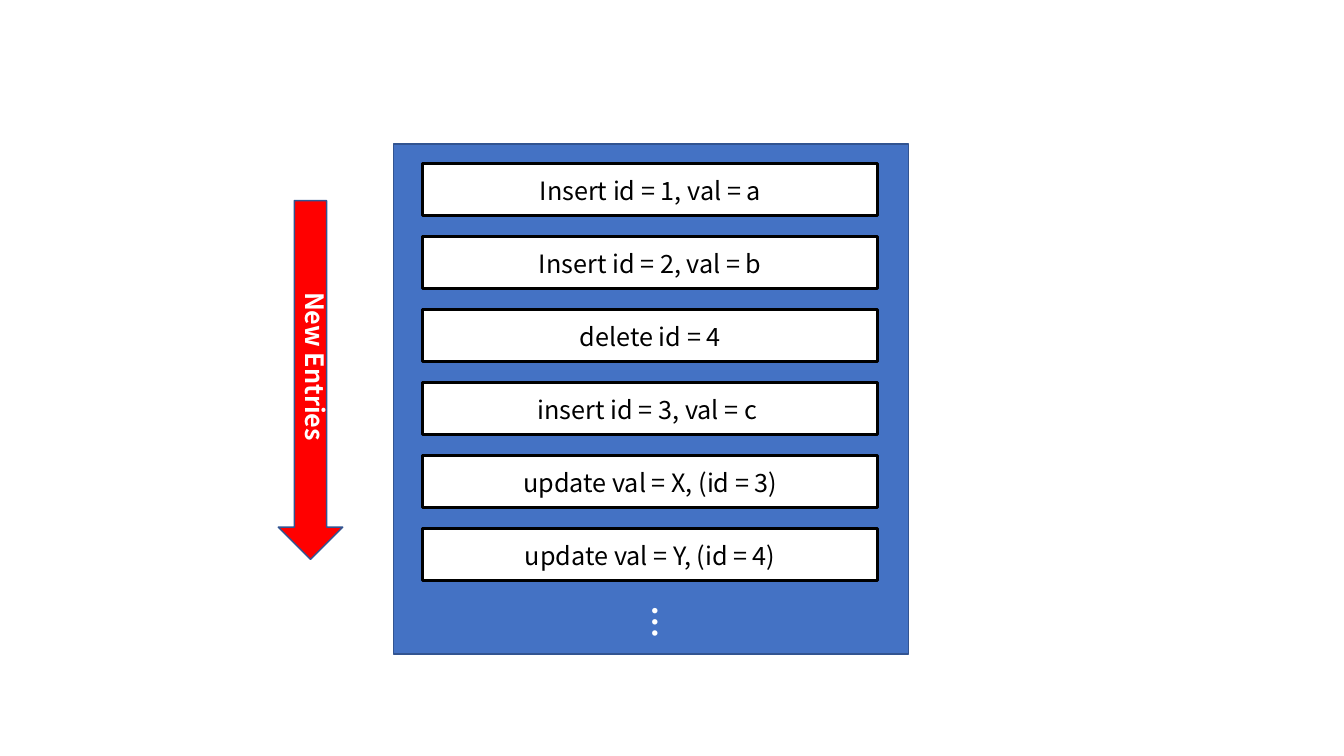
import pptx
import pptx.dml.color
import pptx.enum.shapes
import pptx.enum.text
import pptx.oxml.ns
import pptx.oxml.xmlchemy
import pptx.util

SHAPE = pptx.enum.shapes.MSO_SHAPE
ALIGN = pptx.enum.text.PP_ALIGN


def color(value):
    return pptx.dml.color.RGBColor.from_string(value)


class Canvas:
    """Style and current slide; lengths are in grid columns and rows."""
    font = "Noto Sans CJK SC"
    cell = pptx.util.Inches(0.1)

    def __init__(self, slide):
        self.s = slide

    def grid(self, *lengths):
        return [round(n * self.cell) for n in lengths]

    def shape(self, kind, box, fill, line, width):
        sp = self.s.shapes.add_shape(kind, *self.grid(*box))
        sp.shadow.inherit = False
        sp.fill.solid()
        sp.fill.fore_color.rgb = color(fill)
        sp.line.color.rgb = color(line)
        sp.line.width = pptx.util.Pt(width)

    def text(self, words, box, size=18, ink="000000", bold=False,
             align=ALIGN.CENTER, vertical=False):
        tf = self.s.shapes.add_textbox(*self.grid(*box)).text_frame
        tf.word_wrap = True
        tf.auto_size = pptx.enum.text.MSO_AUTO_SIZE.SHAPE_TO_FIT_TEXT
        if vertical:
            tf._txBody.bodyPr.set("vert", "eaVert")
        p = tf.paragraphs[0]
        p.alignment = align
        r = p.add_run()
        r.text = words
        r.font.name = self.font
        r.font.size = pptx.util.Pt(size)
        r.font.bold = bold
        r.font.color.rgb = color(ink)
        # East Asian typeface, used by vertical text
        ea = pptx.oxml.xmlchemy.OxmlElement("a:ea")
        ea.set("typeface", self.font)
        r.font._element.find(pptx.oxml.ns.qn("a:latin")).addnext(ea)

    def vertical_label(self, words, box, size):
        self.text(words, box, size, "FFFFFF", True, ALIGN.LEFT, True)


prs = pptx.Presentation()
prs.slide_width = pptx.util.Inches(13.33)
prs.slide_height = pptx.util.Inches(7.5)
canvas = Canvas(prs.slides.add_slide(prs.slide_layouts[6]))

# Log panel
canvas.shape(SHAPE.RECTANGLE, (39, 14.3, 51.1, 50.6), "4472C4", "325491", 1)

# Log entries, evenly stacked
ENTRIES = ["Insert id = 1, val = a", "Insert id = 2, val = b",
           "delete id = 4", "insert id = 3, val = c ",
           "update val = X, (id = 3)", "update val = Y, (id = 4)"]
FIRST_ROW, PITCH = 16.2, 7.24
for i, entry in enumerate(ENTRIES):
    top = FIRST_ROW + i * PITCH
    canvas.shape(SHAPE.RECTANGLE, (41.9, top, 45.1, 5.2),
                 "FFFFFF", "000000", 2.25)
    canvas.text(entry, (46.1, top + 0.7, 36.8, 4))

# More entries to follow
canvas.vertical_label("…", (61.5, 59.1, 6.1, 5.2), 24)

# Direction of new entries
canvas.shape(SHAPE.DOWN_ARROW, (27.6, 19.9, 6.4, 35.6), "FF0000", "325491", 1)
canvas.vertical_label("New Entries", (28.3, 28, 5, 18.3), 18)

prs.save("out.pptx")
